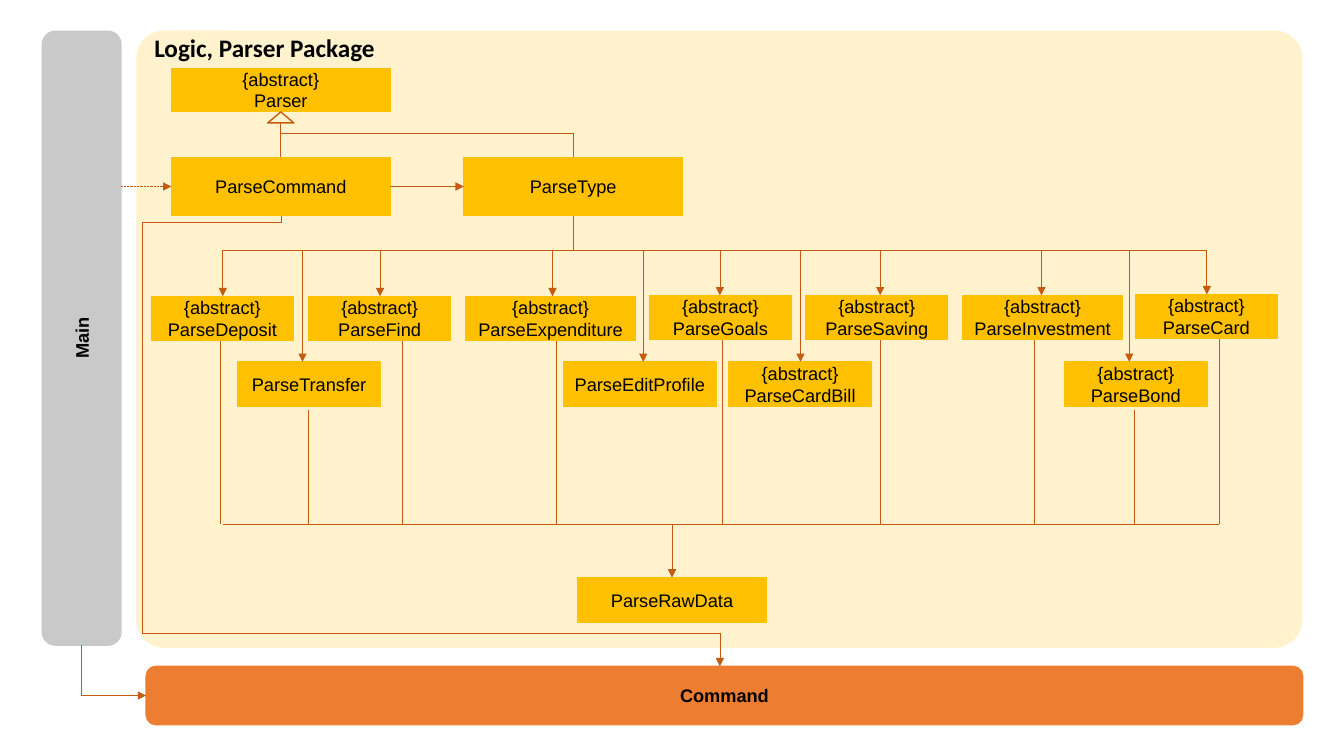
from itertools import pairwise
from lxml import etree
from pptx import Presentation
from pptx.dml import color
from pptx.enum import dml, shapes, text
from pptx.oxml import ns
from pptx.util import Inches, Pt

ORANGE, CREAM, GOLD, GREY, BROWN = "ED7D31", "FFF2CC", "FFC000", "C9C9C9", "C55A11"
ABSTRACT = "{abstract}\n"

# name, left, top, width, arrow x, exit x (None: no line to ParseRawData),
# all measured from the corner of the parsers region
PARSERS = [
    (ABSTRACT + "ParseDeposit", 0, 0.46, 1.41, 0.71, 0.69),
    ("ParseTransfer", 0.86, 1.11, 1.41, 1.5, 1.56),
    (ABSTRACT + "ParseFind", 1.56, 0.46, 1.41, 2.27, 2.49),
    (ABSTRACT + "ParseExpenditure", 3.12, 0.46, 1.68, 3.98, 4.02),
    ("ParseEditProfile", 4.09, 1.11, 1.51, 4.88, None),
    (ABSTRACT + "ParseGoals", 4.94, 0.45, 1.41, 5.64, 5.66),
    (ABSTRACT + "ParseCardBill", 5.73, 1.11, 1.41, 6.44, None),
    (ABSTRACT + "ParseSaving", 6.49, 0.45, 1.41, 7.23, 7.23),
    (ABSTRACT + "ParseInvestment", 8.05, 0.45, 1.58, 8.83, 8.76),
    (ABSTRACT + "ParseBond", 9.06, 1.11, 1.41, 9.7, 9.75),
    (ABSTRACT + "ParseCard", 9.76, 0.44, 1.41, 10.47, 10.59),
]


def paint(target, value):
    """Give a fill a solid colour."""
    target.solid()
    target.fore_color.rgb = color.RGBColor.from_string(value)


def apply(target, values):
    for name, value in values.items():
        setattr(target, name, value)


def write(shape, words, size=13, face="Arial", bold=False, align=text.PP_ALIGN.CENTER):
    frame = shape.text_frame
    frame.text = words
    apply(frame, {"vertical_anchor": text.MSO_ANCHOR.MIDDLE, "word_wrap": True,
                  "margin_left": 0, "margin_right": 0, "margin_top": 0, "margin_bottom": 0})
    for para in frame.paragraphs:
        para.alignment = align
        for span in para.runs:
            apply(span.font, {"size": Pt(size), "name": face, "bold": bold})
            paint(span.font.fill, "000000")


def add_box(page, box, fill=GOLD, words="", radius=0.0, bold=False, turn=0):
    shape = page.shapes.add_shape(shapes.MSO_SHAPE.ROUNDED_RECTANGLE, *map(Inches, box))
    shape.adjustments[0] = radius
    shape.rotation = turn
    shape.shadow.inherit = False
    paint(shape.fill, fill)
    paint(shape.line.fill, fill)
    shape.line.width = Pt(1)
    if words:
        write(shape, words, bold=bold)
    return shape


def add_route(page, *points, arrow=False, dotted=False):
    """Join the points by straight lines, with an arrowhead at the last one."""
    for start, end in pairwise(points):
        line = page.shapes.add_connector(
            shapes.MSO_CONNECTOR.STRAIGHT, *map(Inches, (*start, *end)))
        paint(line.line.fill, BROWN)
        line.line.width = Pt(0.5)
        if dotted:
            line.line.dash_style = dml.MSO_LINE.ROUND_DOT
        if arrow and end == points[-1]:
            etree.SubElement(line.line._get_or_add_ln(), ns.qn("a:tailEnd"), type="triangle")
        etree.SubElement(line._element.spPr, ns.qn("a:effectLst"))


def add_package(page, box):
    """Cream panel with its heading."""
    left, top, width, height = box
    add_box(page, box, CREAM, radius=0.044)
    title = page.shapes.title
    apply(title, {"left": Inches(left + 0.17), "top": Inches(top - 0.04),
                  "width": Inches(2.6), "height": Inches(0.4)})
    write(title, "Logic, Parser Package", 18, "Calibri", True, text.PP_ALIGN.LEFT)
    page.shapes._spTree.append(title._element)


def add_hierarchy(page, box):
    """Parser and the two classes that inherit from it."""
    left, top, width, height = box
    class_width, class_height = 2.17, 0.58
    row = top + height - class_height
    middle, centre = row + class_height / 2, left + class_width / 2
    type_left = left + width - class_width
    type_centre = type_left + class_width / 2
    add_box(page, (left, top, class_width, 0.42), words=ABSTRACT + "Parser")
    add_box(page, (left, row, class_width, class_height), words="ParseCommand")
    add_box(page, (type_left, row, class_width, class_height), words="ParseType")

    # Inheritance
    triangle = page.shapes.add_shape(
        shapes.MSO_SHAPE.ISOSCELES_TRIANGLE,
        *map(Inches, (centre - 0.13, top + 0.43, 0.26, 0.11)))
    triangle.shadow.inherit = False
    triangle.fill.background()
    paint(triangle.line.fill, BROWN)
    triangle.line.width = Pt(1)
    add_route(page, (centre, top + 0.54), (centre, row))
    add_route(page, (centre, top + 0.64), (type_centre, top + 0.64), (type_centre, row))

    # Calls
    add_route(page, (left - 0.5, middle), (left, middle), arrow=True, dotted=True)
    add_route(page, (left + class_width, middle), (type_left, middle), arrow=True)
    add_route(page, (type_centre, row + class_height), (type_centre, row + 0.92))


def add_parsers(page, box):
    """Parsers hung between an upper and a lower bus line."""
    left, top, width, height = box
    bottom = top + height
    box_height = 0.44
    for name, x, y, box_width, entry, leave in PARSERS:
        add_box(page, (left + x, top + y, box_width, box_height), words=name)
        add_route(page, (left + entry, top), (left + entry, top + y), arrow=True)
        if leave is not None:
            gap = 0.04 if y > 1 else 0
            add_route(page, (left + leave, top + y + box_height + gap), (left + leave, bottom))
    first, last = PARSERS[0], PARSERS[-1]
    add_route(page, (left + first[4], top), (left + last[4], top))
    add_route(page, (left + first[4], bottom), (left + last[5], bottom))


def add_raw_data(page, box):
    left, top, width, height = box
    centre = left + width / 2
    add_box(page, box, words="ParseRawData")
    add_route(page, (centre, top - 0.53), (centre, top), arrow=True)


def add_main(page, box):
    """Upright bar: a wide box turned a quarter to the left."""
    left, top, width, height = box
    turned = (left + (width - height) / 2, top + (height - width) / 2, height, width)
    add_box(page, turned, GREY, "Main", 0.167, True, 270)


def add_command(page, box):
    """Command bar with the two routes that lead to it."""
    left, top, width, height = box
    middle, entry, side = top + height / 2, left + 5.69, left - 0.04
    add_box(page, box, ORANGE, "Command", 0.167, True)
    add_route(page, (left - 0.64, top - 0.21), (left - 0.64, middle), (left, middle), arrow=True)
    add_route(page, (left + 1.34, top - 4.47), (left + 1.34, top - 4.4), (side, top - 4.4),
              (side, top - 0.33), (entry, top - 0.33), (entry, top), arrow=True)


deck = Presentation()
deck.slide_width, deck.slide_height = Inches(13.33), Inches(7.5)
page = deck.slides.add_slide(deck.slide_layouts[5])
add_package(page, (1.36, 0.31, 11.55, 6.11))
add_main(page, (0.42, 0.31, 0.78, 6.09))
add_hierarchy(page, (1.7, 0.68, 5.07, 1.46))
add_parsers(page, (1.5, 2.48, 11.17, 2.72))
add_raw_data(page, (5.73, 5.73, 1.87, 0.44))
add_command(page, (1.45, 6.61, 11.47, 0.58))
deck.save("out.pptx")
